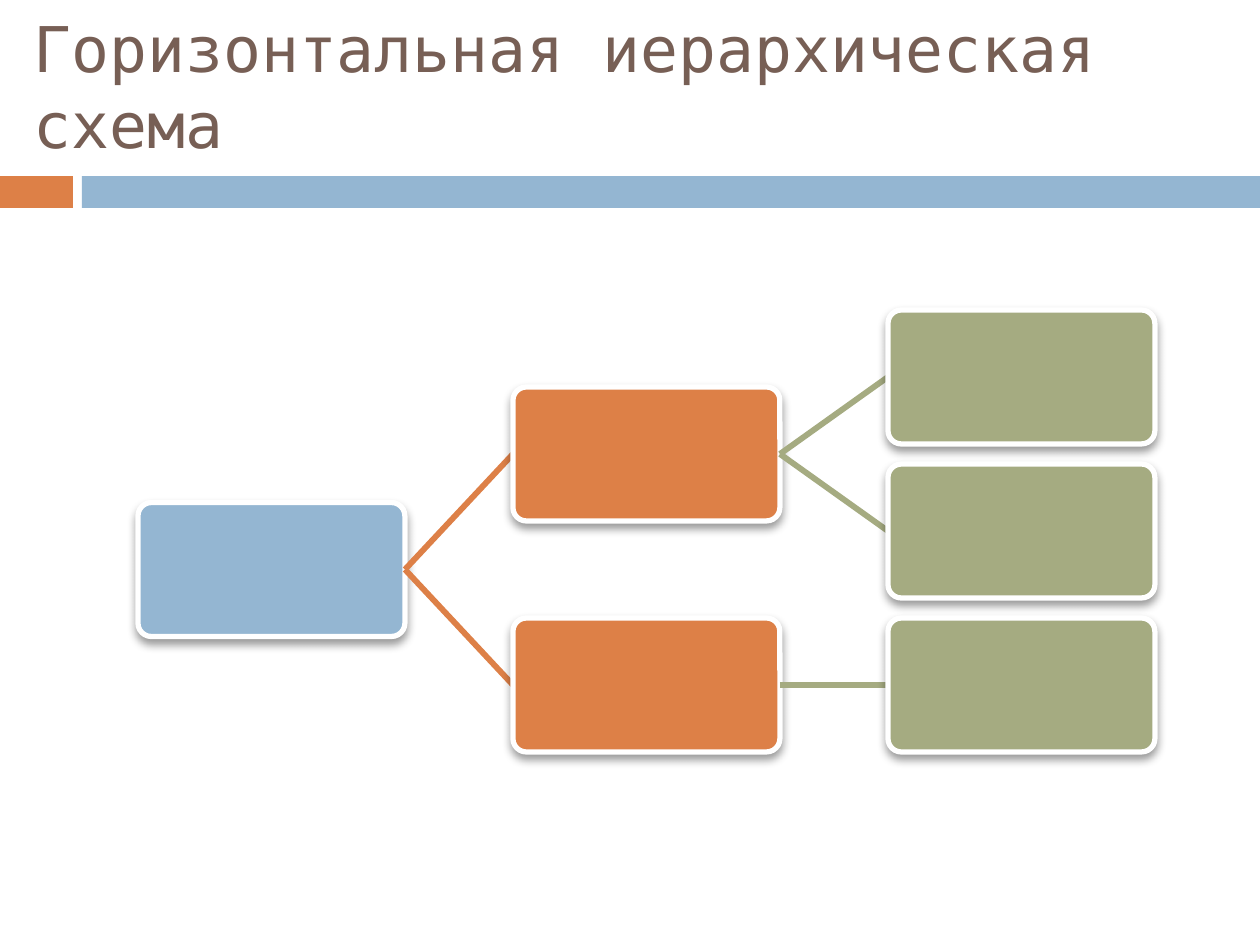
from dataclasses import dataclass

from lxml import etree
from pptx import Presentation
from pptx.dml.color import RGBColor
from pptx.enum.shapes import MSO_CONNECTOR, MSO_SHAPE
from pptx.enum.text import MSO_ANCHOR, MSO_AUTO_SIZE, PP_ALIGN
from pptx.oxml import parse_xml
from pptx.oxml.ns import qn
from pptx.util import Emu, Pt

RECT, ROUND = MSO_SHAPE.RECTANGLE, MSO_SHAPE.ROUNDED_RECTANGLE
STRAIGHT = MSO_CONNECTOR.STRAIGHT
LEFT_SIDE, RIGHT_SIDE = 1, 3
TITLE_ONLY = 5

# Content: each node is the list of its children
TITLE = "Горизонтальная иерархическая схема"
TREE = [[[], []], [[]]]


@dataclass(frozen=True)
class Theme:
    font: str = "DejaVu Sans Mono"
    title_size: int = 36
    title: str = "775F55"
    accent: str = "DD8047"
    band: str = "94B6D2"
    border: str = "FFFFFF"
    levels: tuple = ("94B6D2", "DD8047", "A5AB81")
    border_width: float = 3
    link_width: float = 3.35


THEME = Theme()

# Layout in px
PX = 914400 / 126
SLIDE_W, SLIDE_H = 1260, 945
TITLE_AREA = (21, 31, 1239, 136)
BANDS = [((0, 176, 73, 32), THEME.accent), ((82, 176, 1178, 32), THEME.band)]
BOX_W, BOX_H = 267, 134
TREE_LEFT, TREE_TOP = 138, 310
COLUMN_STEP, ROW_STEP = 375, 154

SHADOW = (
    '<a:effectLst xmlns:a="http://schemas.openxmlformats.org/drawingml/2006/main">'
    '<a:outerShdw blurRad="66040" dist="38100" dir="5400000" rotWithShape="0">'
    '<a:srgbClr val="000000"><a:alpha val="40000"/></a:srgbClr>'
    "</a:outerShdw></a:effectLst>"
)


def px(value):
    return Emu(round(value * PX))


def color(value):
    return RGBColor.from_string(value)


def add_block(page, kind, area, fill):
    block = page.shapes.add_shape(kind, *map(px, area))
    block.shadow.inherit = False
    block.fill.solid()
    block.fill.fore_color.rgb = color(fill)
    block.line.fill.background()
    return block


def add_box(page, level, row):
    area = (TREE_LEFT + level * COLUMN_STEP, TREE_TOP + row * ROW_STEP, BOX_W, BOX_H)
    box = add_block(page, ROUND, area, THEME.levels[level])
    box.adjustments[0] = 0.1
    box.line.color.rgb = color(THEME.border)
    box.line.width = Pt(THEME.border_width)
    properties = box._element.spPr
    properties.replace(properties.find(qn("a:effectLst")), parse_xml(SHADOW))
    return box


def add_link(page, parent, level):
    link = page.shapes.add_connector(STRAIGHT, 0, 0, 0, 0)
    link.begin_connect(parent, RIGHT_SIDE)
    link.line.color.rgb = color(THEME.levels[level])
    link.line.width = Pt(THEME.link_width)
    etree.SubElement(link._element.spPr, qn("a:effectLst"))
    return link


def count_leaves(node):
    return sum(map(count_leaves, node)) or 1


def place(node, first_row=0):
    """Return the node's row and its placed children; a parent is centred on them."""
    children = []
    row = first_row
    for child in node:
        children.append(place(child, row))
        row += count_leaves(child)
    if children:
        return (children[0][0] + children[-1][0]) / 2, children
    return first_row, children


def draw_tree(page, placed, level=0, parent=None):
    row, children = placed
    # The link goes in first so that it lies behind the child's border
    link = add_link(page, parent, level) if parent else None
    box = add_box(page, level, row)
    if link:
        link.end_connect(box, LEFT_SIDE)
    for child in children:
        draw_tree(page, child, level + 1, box)


def set_title(page):
    title = page.shapes.title
    title.left, title.top, title.width, title.height = map(px, TITLE_AREA)
    frame = title.text_frame
    frame.text = TITLE
    frame.word_wrap = True
    frame.auto_size = MSO_AUTO_SIZE.NONE
    frame.vertical_anchor = MSO_ANCHOR.BOTTOM
    para = frame.paragraphs[0]
    para.alignment = PP_ALIGN.LEFT
    para.font.name = THEME.font
    para.font.size = Pt(THEME.title_size)
    para.font.color.rgb = color(THEME.title)


def main():
    deck = Presentation()
    deck.slide_width, deck.slide_height = px(SLIDE_W), px(SLIDE_H)
    page = deck.slides.add_slide(deck.slide_layouts[TITLE_ONLY])

    # Heading and bands
    set_title(page)
    for area, fill in BANDS:
        add_block(page, RECT, area, fill)

    # Hierarchy
    draw_tree(page, place(TREE))
    deck.save("out.pptx")


if __name__ == "__main__":
    main()
